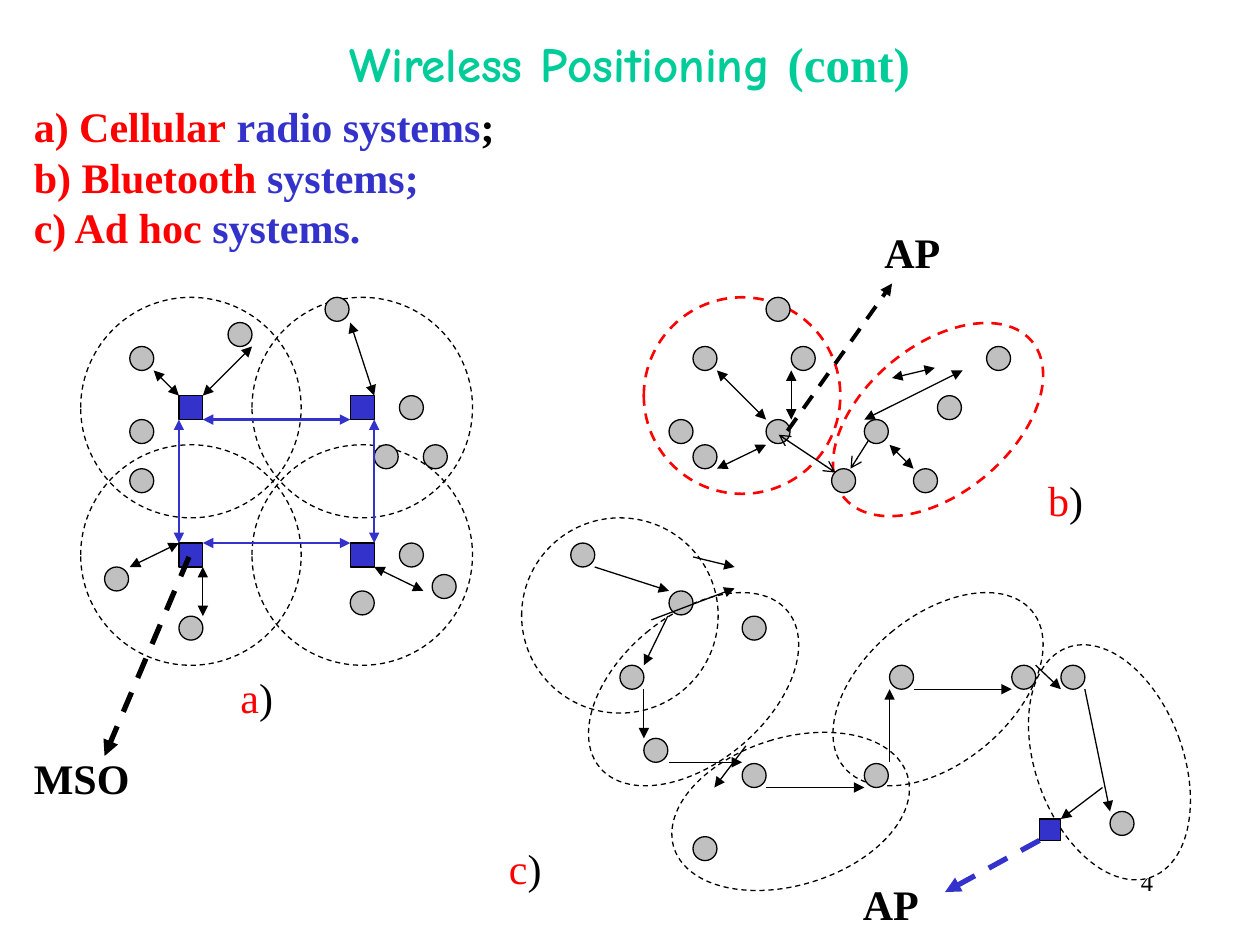
from lxml import etree
from pptx import Presentation
from pptx.dml.color import RGBColor
from pptx.enum.dml import MSO_LINE_DASH_STYLE
from pptx.enum.shapes import MSO_CONNECTOR, MSO_SHAPE
from pptx.enum.text import MSO_ANCHOR, PP_ALIGN
from pptx.oxml.ns import qn
from pptx.util import Inches, Pt

OVAL, RECT = MSO_SHAPE.OVAL, MSO_SHAPE.RECTANGLE
DASH = MSO_LINE_DASH_STYLE.DASH
LEFT, CENTER, RIGHT = PP_ALIGN.LEFT, PP_ALIGN.CENTER, PP_ALIGN.RIGHT
BLACK, WHITE, RED, BLUE = "000000", "FFFFFF", "FF0000", "3333CC"
GRAY, GREEN = "C0C0C0", "00CC99"
SERIF, COMIC = "Times New Roman", "Comic Neue"
THIN, MEDIUM, THICK = 0.75, 1.5, 3
NODE = 0.19

deck = Presentation()
deck.slide_width, deck.slide_height = Inches(10), Inches(7.5)
page = deck.slides.add_slide(deck.slide_layouts[6])


def color(value):
    """Turn a hex string into a colour."""
    return RGBColor.from_string(value)


def add_text(place, paragraphs, size=24, bold=True, align=LEFT, anchor=MSO_ANCHOR.TOP):
    """Add a text box; each paragraph is a list of (text, colour, font) runs."""
    box = page.shapes.add_textbox(*map(Inches, place))
    frame = box.text_frame
    frame.word_wrap = True
    frame.vertical_anchor = anchor
    for index, runs in enumerate(paragraphs):
        para = frame.add_paragraph() if index else frame.paragraphs[0]
        para.alignment = align
        for text, shade, font in runs:
            span = para.add_run()
            span.text = text
            span.font.size, span.font.bold, span.font.name = Pt(size), bold, font
            span.font.color.rgb = color(shade)


add_text((7.17, 6.83, 2.08, 0.5), [[("4", BLACK, SERIF)]], 14, False, RIGHT)
add_text((0.17, 0.75, 9.67, 1.3), [
    [("a) Cellular", RED, SERIF), (" radio systems", BLUE, SERIF), (";", BLACK, SERIF)],
    [("b) Bluetooth", RED, SERIF), (" systems;", BLUE, SERIF)],
    [("c) Ad hoc", RED, SERIF), (" systems.", BLUE, SERIF)],
])

# Outlines: left, top, width, height, rotation, fill, line colour, line width
cells = [(left, top, 1.75, 1.75, 0, None, BLACK, THIN)
         for left in (0.64, 2) for top in (2.36, 3.53)]
cells += [
    (5.11, 2.36, 1.56, 1.56, 0, WHITE, RED, MEDIUM),
    (6.86, 2.36, 1.17, 1.94, 50.2, WHITE, RED, MEDIUM),
    (6.86, 4.5, 1.17, 1.94, 50.2, None, BLACK, THIN),
    (5.69, 5.47, 1.17, 1.94, 72.9, None, BLACK, THIN),
    (4.92, 4.5, 1.17, 1.94, 50.2, WHITE, BLACK, THIN),
    (8.22, 5.08, 1.17, 1.94, 159.9, WHITE, BLACK, THIN),
    (4.14, 4.11, 1.56, 1.55, 0, None, BLACK, THIN),
]
for left, top, width, height, turn, fill, shade, weight in cells:
    cell = page.shapes.add_shape(OVAL, *map(Inches, (left, top, width, height)))
    cell.shadow.inherit = False
    cell.rotation = turn
    if fill:
        cell.fill.solid()
        cell.fill.fore_color.rgb = color(fill)
    else:
        cell.fill.background()
    cell.line.color.rgb = color(shade)
    cell.line.width = Pt(weight)
    cell.line.dash_style = DASH

stations = [(left, top, NODE) for left in (1.42, 2.78) for top in (3.14, 4.31)]
stations.append((8.25, 6.5, 0.17))
cellular_nodes = [
    (0.83, 4.5), (1.42, 4.89), (2.78, 4.69), (1.03, 3.72), (3.36, 3.53),
    (3.17, 3.14), (2.58, 2.36), (1.81, 2.56), (3.17, 4.31), (1.03, 3.33),
    (3.43, 4.56), (1.03, 2.75), (2.97, 3.53),
]
bluetooth_nodes = [
    (7.25, 3.72), (7.83, 2.75), (6.08, 2.36), (6.08, 3.33), (5.5, 2.75),
    (5.31, 3.33), (5.5, 3.53), (7.44, 3.14), (6.28, 2.75), (6.86, 3.33),
    (6.6, 3.72),
]
ad_hoc_nodes = [
    (4.53, 4.31), (4.92, 5.28), (5.31, 4.69), (5.89, 4.89), (5.11, 5.86),
    (5.89, 6.06), (8.03, 5.28), (5.5, 6.64), (8.42, 5.28), (7.06, 5.28),
    (6.86, 6.06), (8.81, 6.44),
]
marks = [(RECT, BLUE, *station) for station in stations]
marks += [(OVAL, GRAY, left, top, NODE)
          for left, top in cellular_nodes + bluetooth_nodes + ad_hoc_nodes]
for kind, fill, left, top, size in marks:
    mark = page.shapes.add_shape(kind, *map(Inches, (left, top, size, size)))
    mark.shadow.inherit = False
    mark.fill.solid()
    mark.fill.fore_color.rgb = color(fill)
    mark.line.color.rgb = color(BLACK)
    mark.line.width = Pt(THIN)

for letter, left, top, width in (("a", 1.81, 5.28, 0.78), ("b", 8.22, 3.72, 0.58),
                                 ("c", 3.94, 6.64, 0.78)):
    add_text((left, top, width, 0.58),
             [[(letter, RED, SERIF), (")", BLACK, SERIF)]], bold=False)

hops = [
    (4.72, 4.5, 5.31, 4.69), (5.3, 4.89, 5.11, 5.28), (5.11, 5.47, 5.11, 5.86),
    (5.31, 6.05, 5.89, 6.05), (6.08, 6.25, 6.86, 6.25), (7.06, 6.05, 7.06, 5.47),
    (7.25, 5.47, 8.03, 5.47), (8.22, 5.28, 8.42, 5.47), (8.61, 5.47, 8.81, 6.44),
    (8.75, 6.25, 8.42, 6.5), (5.5, 4.42, 5.83, 4.5), (5.92, 5.92, 5.67, 6.25),
    (5.17, 4.92, 5.83, 4.67),
]
radio_links = [
    (6.28, 3.33, 6.28, 2.94), (6.08, 3.33, 5.69, 2.94), (6.08, 3.53, 5.69, 3.72),
    (7.06, 3.53, 7.25, 3.72), (6.86, 3.33, 7.64, 2.94), (1.61, 4.5, 1.61, 4.89),
    (1.42, 4.31, 1.03, 4.5), (2.97, 4.5, 3.36, 4.69), (1.61, 3.14, 2, 2.75),
    (2.97, 3.14, 2.78, 2.56), (1.42, 3.14, 1.22, 2.94), (7.08, 3, 7.42, 2.92),
]
backbone = [(1.42, 3.33, 1.42, 4.31), (1.61, 3.33, 2.78, 3.33),
            (2.97, 3.33, 2.97, 4.31), (1.61, 4.31, 2.78, 4.31)]
# Groups: ends, colour, width, dashed, head, tail
arrow_groups = [
    (hops, BLACK, THIN, False, None, "triangle"),
    (radio_links, BLACK, THIN, False, "triangle", "triangle"),
    (backbone, BLUE, MEDIUM, False, "triangle", "triangle"),
    ([(8.25, 6.67, 7.5, 7.08)], BLUE, THICK, True, None, "triangle"),
    ([(1.5, 4.42, 0.83, 6)], BLACK, THICK, True, None, "triangle"),
    ([(6.25, 3.42, 7.08, 2.25)], BLACK, 2.25, True, None, "triangle"),
    ([(6.89, 3.5, 6.75, 3.72)], BLACK, THIN, False, None, "arrow"),
    ([(6.18, 3.45, 6.63, 3.75)], BLACK, THIN, False, "arrow", "arrow"),
]
for group, shade, weight, dashed, head, tail in arrow_groups:
    for ends in group:
        arrow = page.shapes.add_connector(MSO_CONNECTOR.STRAIGHT, *map(Inches, ends))
        arrow.line.color.rgb = color(shade)
        arrow.line.width = Pt(weight)
        if dashed:
            arrow.line.dash_style = DASH
        properties = arrow.element.spPr
        outline = properties.find(qn("a:ln"))
        for tag, style in (("a:headEnd", head), ("a:tailEnd", tail)):
            if style:
                etree.SubElement(outline, qn(tag), type=style)
        etree.SubElement(properties, qn("a:effectLst"))

add_text((0.75, 0.25, 8.5, 0.5),
         [[("Wireless Positioning ", GREEN, COMIC), ("(cont)", GREEN, SERIF)]],
         28, align=CENTER, anchor=MSO_ANCHOR.MIDDLE)
for name, left, top, width in (("MSO", 0.17, 5.92, 1.33), ("AP", 6.75, 6.92, 0.75),
                               ("AP", 6.92, 1.75, 1)):
    add_text((left, top, width, 0.5), [[(name, BLACK, SERIF)]])

deck.save("out.pptx")
